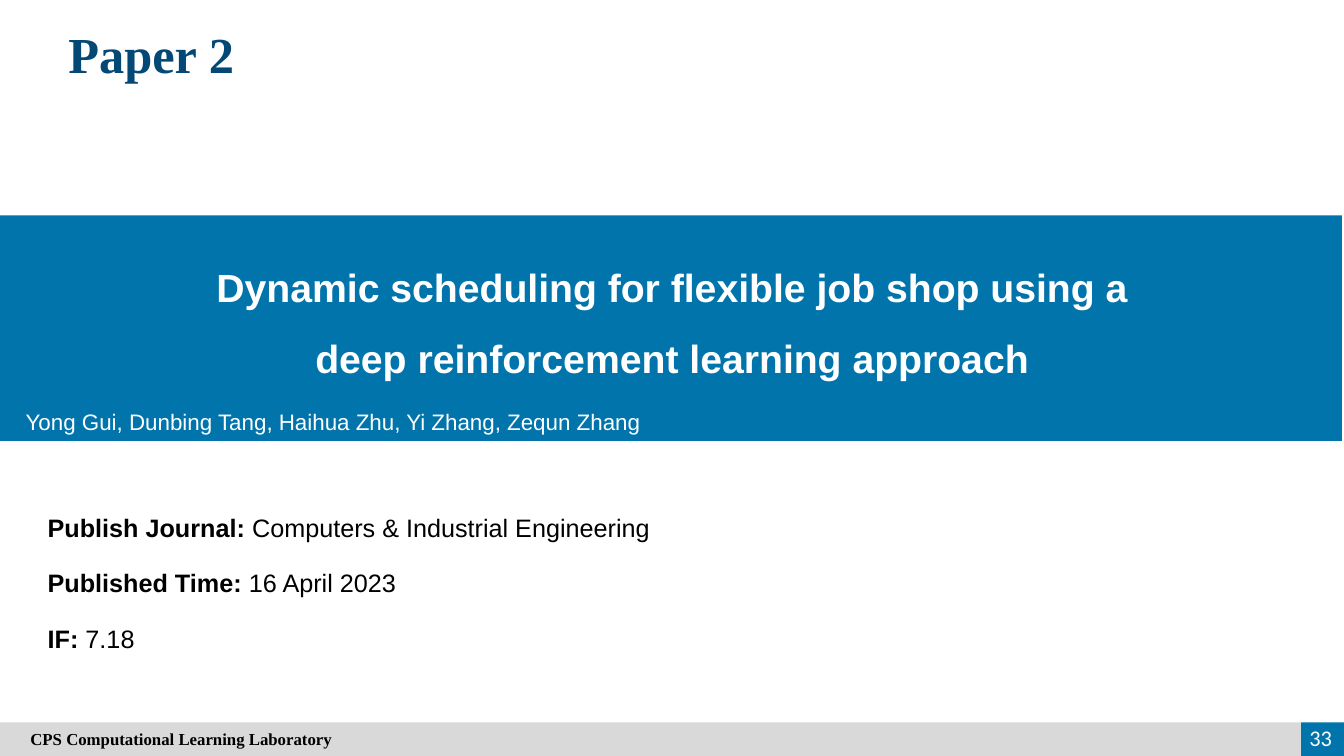
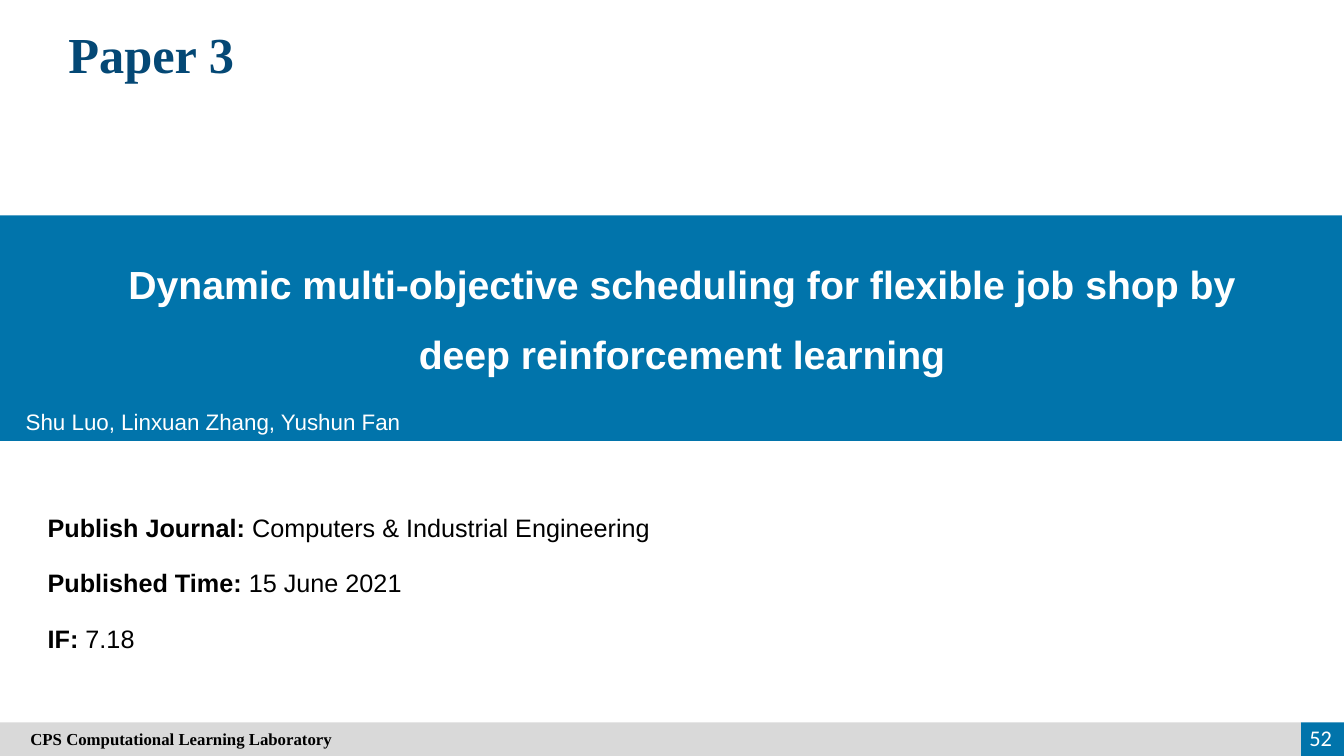
from pptx import Presentation
from pptx.dml.color import RGBColor
from pptx.enum.shapes import MSO_SHAPE
from pptx.enum.text import MSO_ANCHOR, PP_ALIGN
from pptx.util import Emu, Pt

PX = 9525  # EMU in one px, 96 px to the inch
SLIDE_WIDTH, SLIDE_HEIGHT = 1280, 720

BLUE = RGBColor(0x01, 0x74, 0xAB)
NAVY = RGBColor(0x04, 0x48, 0x75)
GREY = RGBColor(0xD9, 0xD9, 0xD9)
BLACK = RGBColor(0, 0, 0)
WHITE = RGBColor(0xFF, 0xFF, 0xFF)

BODY_FONT = "Arial"
TITLE_FONT = "Times New Roman"
NUMBER_FONT = "Calibri"

FOOTER_TOP = 688
FOOTER_HEIGHT = SLIDE_HEIGHT - FOOTER_TOP
NUMBER_LEFT = 1239
FACTS_TOP, FACT_STEP = 483, 53

PAPERS = [
    {
        "heading": "Paper 2",
        "title": "Dynamic scheduling for flexible job shop using a "
                 "deep reinforcement learning approach",
        "title_box": (189, 227, 902, 137),
        "authors": "Yong Gui, Dunbing Tang, Haihua Zhu, Yi Zhang, Zequn Zhang",
        "published": "16 April 2023",
        "number": "33",
    },
    {
        "heading": "Paper 3",
        "title": "Dynamic multi-objective scheduling for flexible job shop by "
                 "deep reinforcement learning",
        "title_box": (71, 224, 1157, 137),
        "authors": "Shu Luo, Linxuan Zhang, Yushun Fan",
        "published": "15 June 2021",
        "number": "52",
    },
]
JOURNAL = "Computers & Industrial Engineering"
IMPACT_FACTOR = "7.18"


def to_emu(box):
    return [Emu(length * PX) for length in box]


def style(font, name, size, color, bold=False):
    font.name = name
    font.size = Pt(size)
    font.color.rgb = color
    font.bold = bold


def add_rectangle(slide, box, fill):
    shape = slide.shapes.add_shape(MSO_SHAPE.RECTANGLE, *to_emu(box))
    shape.shadow.inherit = False
    shape.fill.solid()
    shape.fill.fore_color.rgb = fill
    shape.line.fill.background()
    return shape


def write(shape, text, name, size, color, bold=False,
          align=PP_ALIGN.LEFT, anchor=MSO_ANCHOR.TOP):
    """Put one styled paragraph into a shape and return it."""
    frame = shape.text_frame
    frame.word_wrap = True
    frame.vertical_anchor = anchor
    frame.text = text
    paragraph = frame.paragraphs[0]
    paragraph.alignment = align
    style(paragraph.runs[0].font, name, size, color, bold)
    return paragraph


def add_text(slide, box, *args, **options):
    return write(slide.shapes.add_textbox(*to_emu(box)), *args, **options)


def add_heading(slide, text):
    add_text(slide, (36, 17, 216, 68), text, TITLE_FONT, 36, NAVY, bold=True,
             align=PP_ALIGN.CENTER)


def add_title_band(slide, title, title_box, authors):
    add_rectangle(slide, (0, 205, 1278, 215), BLUE)
    paragraph = add_text(slide, title_box, title, BODY_FONT, 28, WHITE, bold=True,
                         align=PP_ALIGN.CENTER, anchor=MSO_ANCHOR.MIDDLE)
    paragraph.line_spacing = 1.5
    add_text(slide, (15, 384, 1250, 36), authors, BODY_FONT, 16, WHITE)


def add_facts(slide, facts):
    """Stack label and value pairs, with the label in bold."""
    for index, (label, value) in enumerate(facts):
        box = (36, FACTS_TOP + index * FACT_STEP, 920, 38)
        paragraph = add_text(slide, box, f"{label}:", BODY_FONT, 18, BLACK, bold=True)
        run = paragraph.add_run()
        run.text = f" {value}"
        style(run.font, BODY_FONT, 18, BLACK)


def add_footer(slide, number):
    add_rectangle(slide, (NUMBER_LEFT, FOOTER_TOP, SLIDE_WIDTH - NUMBER_LEFT,
                          FOOTER_HEIGHT), BLUE)
    bar = add_rectangle(slide, (0, FOOTER_TOP, NUMBER_LEFT, FOOTER_HEIGHT), GREY)
    bar.text_frame.margin_left = Emu(29 * PX)
    write(bar, "CPS Computational Learning Laboratory", TITLE_FONT, 12, BLACK,
          bold=True, anchor=MSO_ANCHOR.MIDDLE)
    add_text(slide, (1218, 685, 60, 38 - 3), number, NUMBER_FONT, 16, WHITE,
             align=PP_ALIGN.RIGHT, anchor=MSO_ANCHOR.MIDDLE)


def add_paper_slide(presentation, paper):
    slide = presentation.slides.add_slide(presentation.slide_layouts[6])
    add_title_band(slide, paper["title"], paper["title_box"], paper["authors"])
    add_heading(slide, paper["heading"])
    add_footer(slide, paper["number"])
    add_facts(slide, [
        ("Publish Journal", JOURNAL),
        ("Published Time", paper["published"]),
        ("IF", IMPACT_FACTOR),
    ])


def main():
    presentation = Presentation()
    presentation.slide_width, presentation.slide_height = to_emu(
        (SLIDE_WIDTH, SLIDE_HEIGHT))
    for paper in PAPERS:
        add_paper_slide(presentation, paper)
    presentation.save("out.pptx")


if __name__ == "__main__":
    main()
